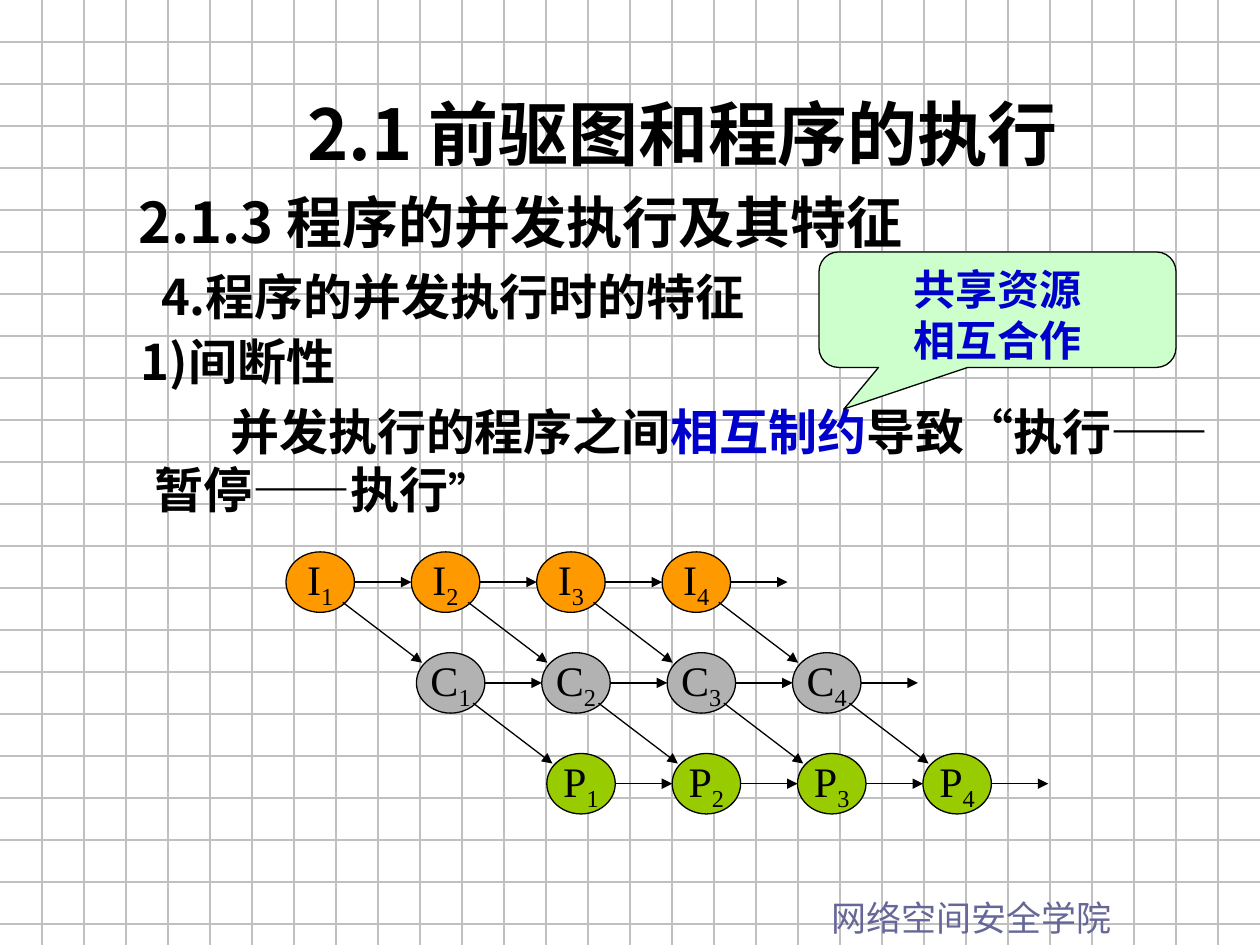
from lxml.etree import SubElement
from pptx import Presentation
from pptx.dml.color import RGBColor
from pptx.enum.shapes import MSO_CONNECTOR as Link, MSO_SHAPE as Kind
from pptx.enum.text import MSO_ANCHOR as Anchor, PP_ALIGN as Align
from pptx.oxml.ns import qn
from pptx.util import Inches, Pt

HUE = {"grid": "C0C0C0", "ink": "000000", "blue": "0000CC", "foot": "666699",
       "mint": "CCFFCC", "I": "FF9900", "C": "B2B2B2", "P": "99CC00"}
SC, JP, TNR = "Noto Sans CJK SC", "Noto Sans CJK JP", "Times New Roman"
WIDE, HIGH = 10, 7.5
CELL = 1 / 3

TITLE = [{"runs": [("2.1 前驱图和程序的执行", 40, JP, "ink")], "align": Align.CENTER}]
FOOT = [{"runs": [("网络空间安全学院", 20, JP, "foot")], "bold": False}]
HEADS = [
    {"runs": [("2.1.3 ", 32, SC, "ink"), ("程序的并发执行及其特征", 32, TNR, "ink")],
     "space": 1.2},
    {"runs": [("4.", 28, SC, "ink"), ("程序的并发执行时的特征", 28, TNR, "ink")],
     "space": 1.2, "left": 0.18},
]
BODY = [
    {"runs": [("1)间断性", 28, SC, "ink")], "left": 0.27},
    {"runs": [("并发执行的程序之间", 28, TNR, "ink"), ("相互制约", 28, TNR, "blue"),
              ("导致“执行——暂停——执行", 28, TNR, "ink"), ("”", 24, TNR, "ink")],
     "left": 0.38, "first": 0.6, "before": 6},
]
NOTE = [{"runs": [(t, 24, "Karla", "blue")], "align": Align.CENTER}
        for t in ("共享资源", "相互合作")]

STAGES, JOBS = "ICP", 4
LEFT, TOP = 6.81, 13.14
STEP, SHIFT, DROP = 2.985, 3.105, 2.4
NODE_W, NODE_H = 1.63, 1.44


def paint(name):
    return RGBColor.from_string(HUE[name])


def cells(*nums):
    return [Inches(n * CELL) for n in nums]


def add_run(para, text, size, face, hue, bold):
    run = para.add_run()
    run.text = text
    font = run.font
    font.size, font.name, font.bold = Pt(size), face, bold
    font.color.rgb = paint(hue)
    east = face if face in (SC, JP) else SC
    SubElement(run._r.get_or_add_rPr(), qn("a:ea")).set("typeface", east)
    return run


def write(shape, paras):
    frame = shape.text_frame
    frame.word_wrap = True
    frame.vertical_anchor = Anchor.TOP
    for i, item in enumerate(paras):
        para = frame.add_paragraph() if i else frame.paragraphs[0]
        props = para._p.get_or_add_pPr()
        props.set("marL", str(Inches(item.get("left", 0))))
        props.set("indent", str(Inches(item.get("first", 0))))
        para.alignment = item.get("align", Align.LEFT)
        para.line_spacing = item.get("space", 1.0)
        para.space_before = Pt(item.get("before", 0))
        for part in item["runs"]:
            add_run(para, *part, item.get("bold", True))


def add_text(shapes, box, paras):
    write(shapes.add_textbox(*cells(*box)), paras)


def add_line(shapes, ends, hue="ink", arrow=False):
    line = shapes.add_connector(Link.STRAIGHT, *cells(*ends))
    line.line.color.rgb = paint(hue)
    line.line.width = Pt(0.75)
    if arrow:
        SubElement(line.line._get_or_add_ln(), qn("a:tailEnd")).set("type", "triangle")
    SubElement(line.element.spPr, qn("a:effectLst"))


def add_form(shapes, kind, box, hue):
    form = shapes.add_shape(kind, *cells(*box))
    form.shadow.inherit = False
    form.fill.solid()
    form.fill.fore_color.rgb = paint(hue)
    form.line.color.rgb = paint("ink")
    form.line.width = Pt(0.75)
    return form


def add_grid(shapes):
    cols, rows = WIDE / CELL, HIGH / CELL
    for y in range(1, int(rows) + 1):
        add_line(shapes, (0, y, cols, y), "grid")
    for x in range(1, round(cols)):
        add_line(shapes, (x, 0, x, rows), "grid")


def add_node(shapes, x, y, stage, job):
    node = add_form(shapes, Kind.OVAL, (x, y, NODE_W, NODE_H), stage)
    frame = node.text_frame
    frame.word_wrap = False
    frame.vertical_anchor = Anchor.MIDDLE
    para = frame.paragraphs[0]
    para.alignment = Align.CENTER
    add_run(para, stage, 24, TNR, "ink", False)
    low = add_run(para, str(job), 24, TNR, "ink", False)
    low._r.get_or_add_rPr().set("baseline", "-25000")


def add_flow(shapes):
    spots = [(LEFT + row * SHIFT + col * STEP, TOP + row * DROP, stage, col + 1)
             for row, stage in enumerate(STAGES) for col in range(JOBS)]
    for spot in spots:
        add_node(shapes, *spot)
    for x, y, stage, job in spots:
        mid = y + NODE_H / 2
        add_line(shapes, (x + NODE_W, mid, x + STEP, mid), arrow=True)
        if stage != STAGES[-1]:
            add_line(shapes, (x + 1.35, y + 1.2, x + 3.24, y + 2.64), arrow=True)


def main():
    deck = Presentation()
    deck.slide_width, deck.slide_height = Inches(WIDE), Inches(HIGH)
    slide = deck.slides.add_slide(deck.slide_layouts[5])
    shapes = slide.shapes
    add_grid(shapes)
    add_text(shapes, (19.5, 21.2, 10.5, 1.32), FOOT)
    add_text(shapes, (3, 4, 25.75, 3.9), HEADS)
    title = shapes.title
    title.left, title.top, title.width, title.height = cells(4.25, 2, 24, 2.3)
    write(title, TITLE)
    shapes.element.append(title.element)
    add_text(shapes, (2.25, 7.75, 27.25, 4.75), BODY)
    note = add_form(shapes, Kind.ROUNDED_RECTANGULAR_CALLOUT, (19.5, 6, 8.5, 2.75), "mint")
    for i, bend in enumerate((-0.43, 0.86, 0.17)):
        note.adjustments[i] = bend
    write(note, NOTE)
    add_flow(shapes)
    deck.save("out.pptx")


if __name__ == "__main__":
    main()
